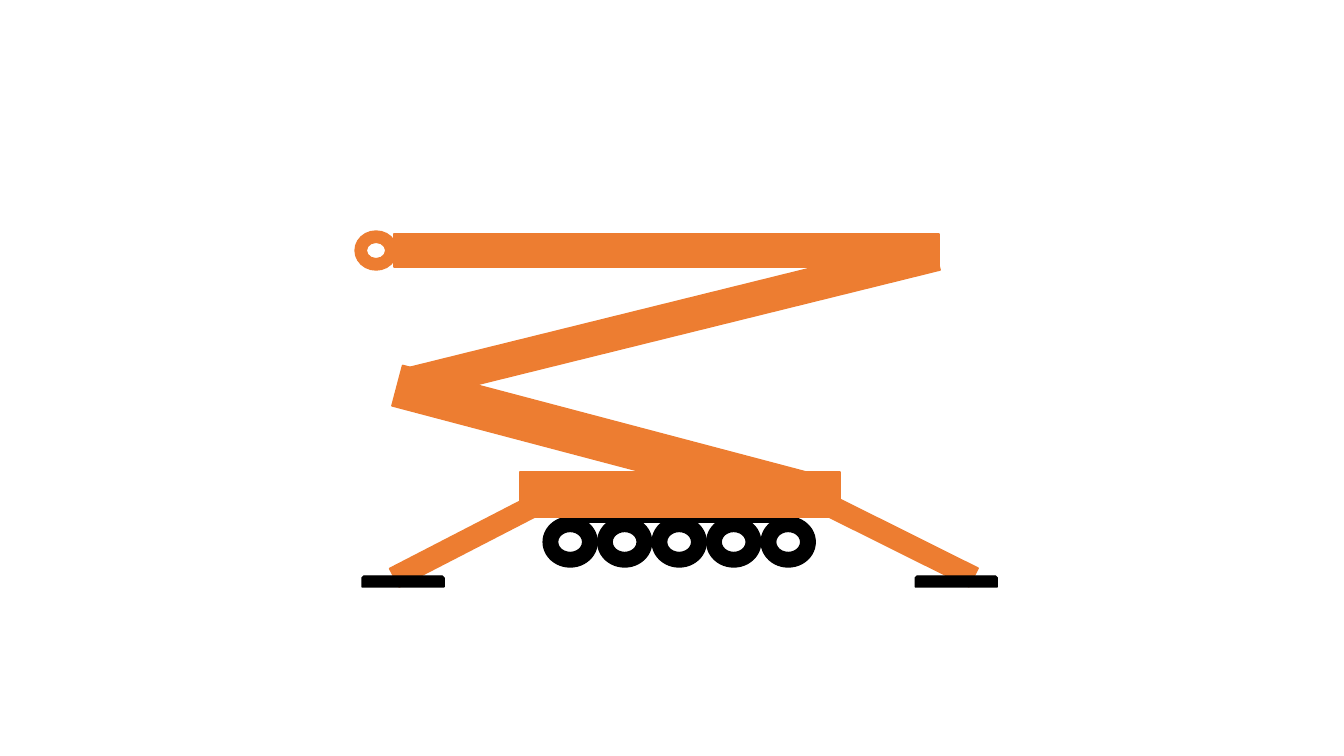
from pptx import Presentation
from pptx.dml.color import RGBColor
from pptx.enum.shapes import MSO_SHAPE as Shape
from pptx.util import Inches, Pt

PX = 914400 / 100.8
ORANGE, BLACK = "ED7D31", "000000"

crane = Presentation()
crane.slide_width, crane.slide_height = Inches(13.33), Inches(7.5)
slide = crane.slides.add_slide(crane.slide_layouts[6])


def paint(color_format, hex_color):
    color_format.rgb = RGBColor.from_string(hex_color)


def add_part(kind, color, left, top, width, height, angle=0):
    """Add one solid part of the crane, sized in px and turned by angle degrees."""
    part = slide.shapes.add_shape(kind, *(round(v * PX) for v in (left, top, width, height)))
    part.rotation = angle
    part.shadow.inherit = False
    part.fill.solid()
    paint(part.fill.fore_color, color)
    paint(part.line.color, color)
    part.line.width = Pt(1)
    if kind == Shape.DONUT:
        part.adjustments[0] = 0.29


# Tracks
first_wheel, last_wheel, wheel_count = 543, 761, 5
for i in range(wheel_count):
    wheel_left = first_wheel + (last_wheel - first_wheel) * i / (wheel_count - 1)
    add_part(Shape.DONUT, BLACK, wheel_left, 517, 54, 50)
add_part(Shape.RECTANGLE, BLACK, 571, 517, 219, 5)

# Deck and outriggers
add_part(Shape.RECTANGLE, ORANGE, 520, 472, 320, 45)
for leg_left, leg_top, leg_angle in ((782, 522, 26.5), (383, 521, 332.7)):
    add_part(Shape.RECTANGLE, ORANGE, leg_left, leg_top, 202, 21, leg_angle)
for foot_left in (362, 915):
    add_part(Shape.SNIP_2_SAME_RECTANGLE, BLACK, foot_left, 576, 82, 11)

# Folding arm, from middle to lower to upper boom, and its end ring
for boom in (
    (399, 303, 545, 33, 346.1),
    (390, 419, 426, 42, 14.8),
    (394, 234, 545, 33),
):
    add_part(Shape.RECTANGLE, ORANGE, *boom)
add_part(Shape.DONUT, ORANGE, 355, 231, 42, 39)

crane.save("out.pptx")
